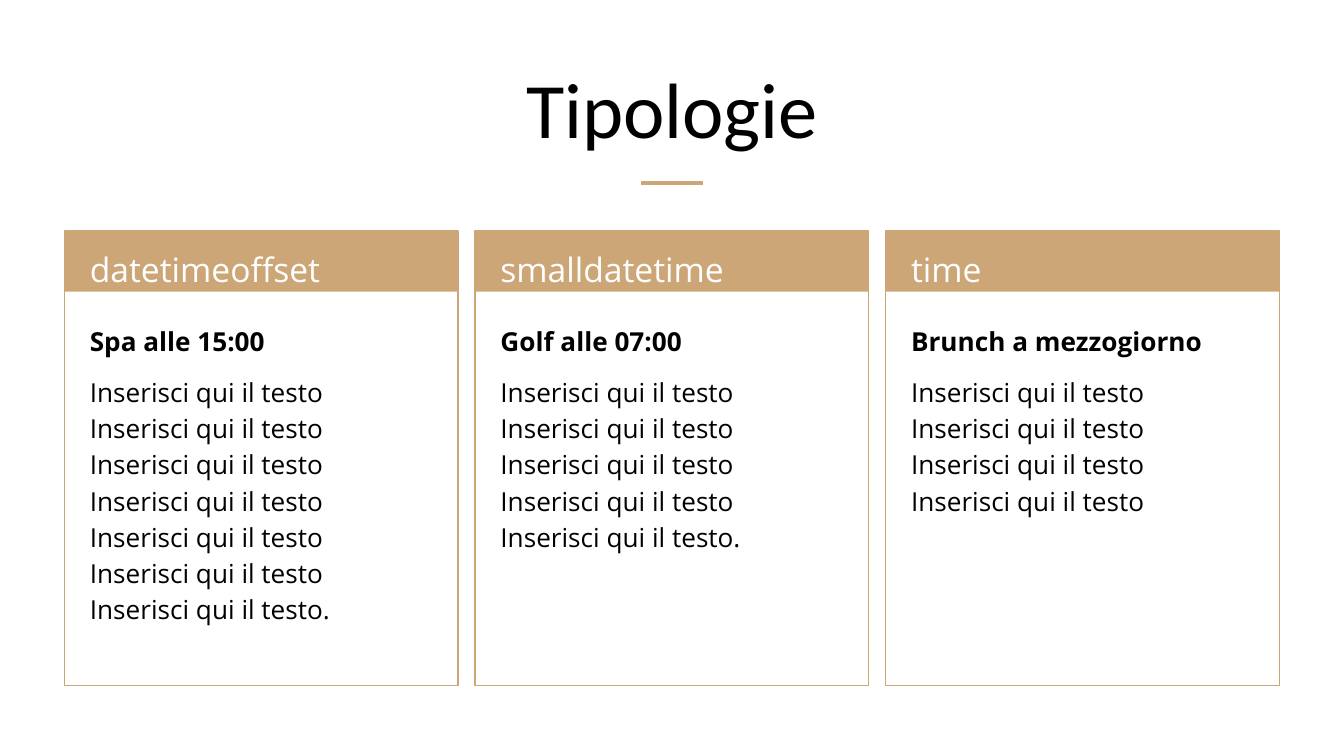
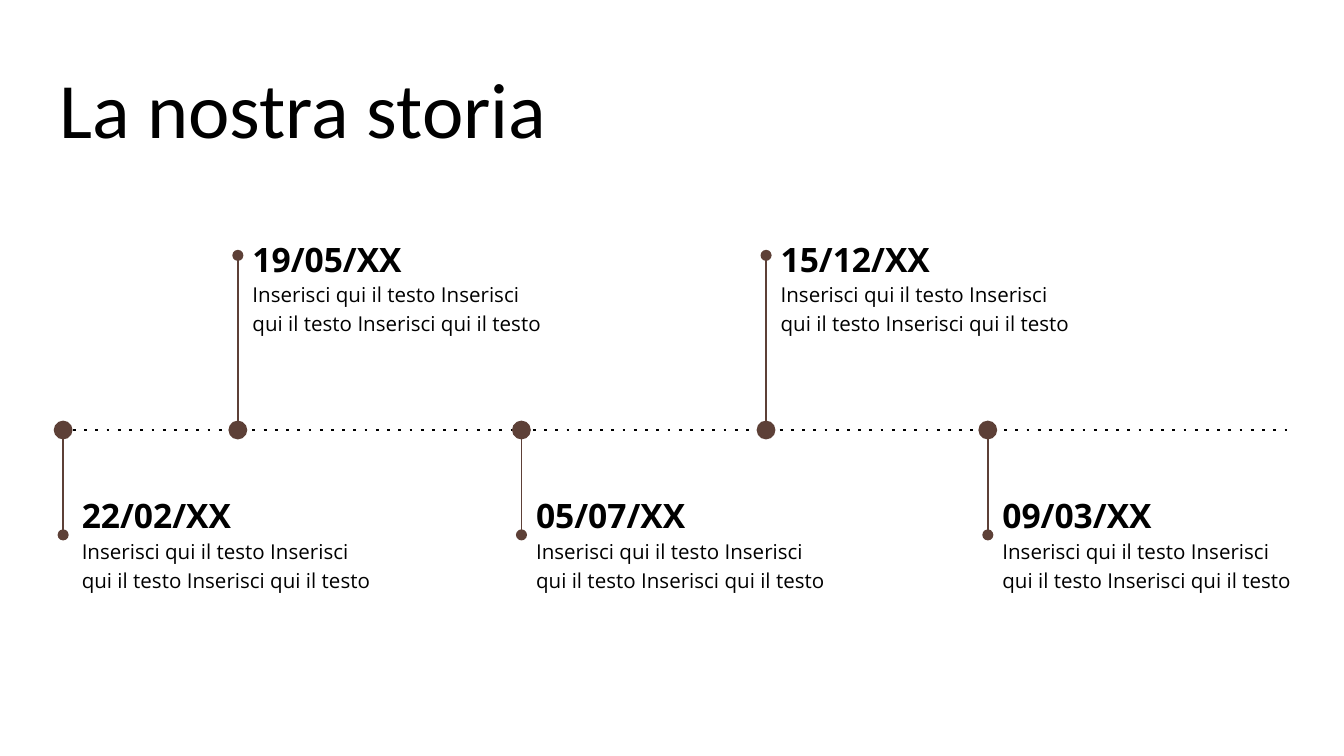
from pptx import Presentation
from pptx import util as u
from pptx.dml import color
from pptx.enum import shapes, text
from pptx.oxml import ns
from lxml import etree

GOLD, BROWN, BLACK, WHITE = "CCA677", "5D4037", "000000", "FFFFFF"
HEADING_FONT, BODY_FONT = "Calibri", "Open Sans"
PHRASE = "Inserisci qui il testo"


def rgb(value):
    return color.RGBColor.from_string(value)


class Deck:
    def __init__(self):
        self.prs = Presentation()
        self.prs.slide_width = u.Inches(10)
        self.prs.slide_height = u.Inches(10 * 9 / 16)
        self.slide = None

    def style(self, paragraph, size, ink, font=BODY_FONT, bold=False):
        paragraph.font.name = font
        paragraph.font.size = u.Pt(size)
        paragraph.font.bold = bold
        paragraph.font.color.rgb = rgb(ink)

    def frame(self, holder, anchor):
        frame = holder.text_frame
        frame.word_wrap = True
        frame.auto_size = text.MSO_AUTO_SIZE.NONE
        frame.vertical_anchor = anchor
        frame.margin_left = frame.margin_right = u.Inches(0.1)
        frame.margin_top = frame.margin_bottom = u.Inches(0.1)
        return frame

    def new_slide(self, heading, align):
        self.slide = self.prs.slides.add_slide(self.prs.slide_layouts[5])
        title = self.slide.shapes.title
        title.left, title.top = u.Inches(0.34), u.Inches(0.35)
        title.width, title.height = u.Inches(9.32), u.Inches(0.9)
        paragraph = self.frame(title, text.MSO_ANCHOR.BOTTOM).paragraphs[0]
        paragraph.text = heading
        paragraph.alignment = align
        self.style(paragraph, 42, BLACK, HEADING_FONT)

    def shape(self, kind, left, top, width, height, fill=None, outline=None):
        shape = self.slide.shapes.add_shape(
            kind, u.Inches(left), u.Inches(top), u.Inches(width), u.Inches(height))
        shape.shadow.inherit = False
        if fill:
            shape.fill.solid()
            shape.fill.fore_color.rgb = rgb(fill)
        else:
            shape.fill.background()
        if outline:
            shape.line.color.rgb = rgb(outline)
            shape.line.width = u.Pt(0.75)
        else:
            shape.line.fill.background()

    def line(self, x1, y1, x2, y2, ink, weight, dash=None, tail=None):
        line = self.slide.shapes.add_connector(
            shapes.MSO_CONNECTOR.STRAIGHT,
            u.Inches(x1), u.Inches(y1), u.Inches(x2), u.Inches(y2))
        line.line.color.rgb = rgb(ink)
        line.line.width = u.Pt(weight)
        outline = line.line._get_or_add_ln()
        if dash:
            etree.SubElement(outline, ns.qn("a:prstDash")).set("val", dash)
        if tail:
            etree.SubElement(outline, ns.qn("a:tailEnd")).set("type", tail)
        etree.SubElement(line._element.spPr, ns.qn("a:effectLst"))

    def text(self, left, top, width, height, *lines, gap=0):
        box = self.slide.shapes.add_textbox(
            u.Inches(left), u.Inches(top), u.Inches(width), u.Inches(height))
        frame = self.frame(box, text.MSO_ANCHOR.TOP)
        for index, (words, size, ink, bold) in enumerate(lines):
            paragraph = frame.add_paragraph() if index else frame.paragraphs[0]
            paragraph.text = words
            paragraph.line_spacing = 1.15
            if index and gap:
                paragraph.space_before = paragraph.space_after = u.Pt(gap)
            self.style(paragraph, size, ink, bold=bold)

    def card(self, left, kind, event, details):
        top, width, band = 1.72, 2.93, 0.45
        rectangle = shapes.MSO_SHAPE.RECTANGLE
        self.shape(rectangle, left, top, width, 3.38, outline=GOLD)
        self.shape(rectangle, left, top, width, band, fill=GOLD)
        self.text(left + 0.09, 1.71, 2.72, band, (kind, 18, WHITE, False))
        self.text(left + 0.09, 2.29, 2.72, 2.8,
                  (event, 14, BLACK, True), (details, 14, BLACK, False), gap=8)

    def milestone(self, center, axis, date, above, text_left):
        radius = 0.07
        self.shape(shapes.MSO_SHAPE.OVAL, center - radius, axis - radius,
                   2 * radius, 2 * radius, fill=BROWN)
        start, end, text_top = ((axis - radius, 1.9, 1.63) if above
                                else (axis + radius, 3.98, 3.54))
        self.line(center, start, center, end, BROWN, 0.75, tail="oval")
        self.text(text_left, text_top, 2.38, 1.2 if above else 1.32,
                  (date, 18, BLACK, True),
                  (" ".join([PHRASE] * 3), 11, BLACK, False))


def build_types(deck):
    deck.new_slide("Tipologie", text.PP_ALIGN.CENTER)
    deck.line(4.77, 1.36, 5.23, 1.36, GOLD, 2.25)
    types = [("datetimeoffset", "Spa alle 15:00", 7, "."),
             ("smalldatetime", "Golf alle 07:00", 5, "."),
             ("time", "Brunch a mezzogiorno", 4, "")]
    for column, (kind, event, repeats, ending) in enumerate(types):
        deck.card(0.48 + column * 6.11 / 2, kind, event,
                  " ".join([PHRASE] * repeats) + ending)


def build_history(deck):
    deck.new_slide("La nostra storia", text.PP_ALIGN.LEFT)
    axis = 3.2
    deck.line(0.46, axis, 9.58, axis, BLACK, 1.5, dash="dot")
    milestones = [(0.47, "22/02/XX", 0.51), (1.77, "19/05/XX", 1.78),
                  (3.88, "05/07/XX", 3.89), (5.7, "15/12/XX", 5.71),
                  (7.35, "09/03/XX", 7.36)]
    for index, (center, date, text_left) in enumerate(milestones):
        deck.milestone(center, axis, date, index % 2 == 1, text_left)


def main():
    deck = Deck()
    build_types(deck)
    build_history(deck)
    deck.prs.save("out.pptx")


if __name__ == "__main__":
    main()
